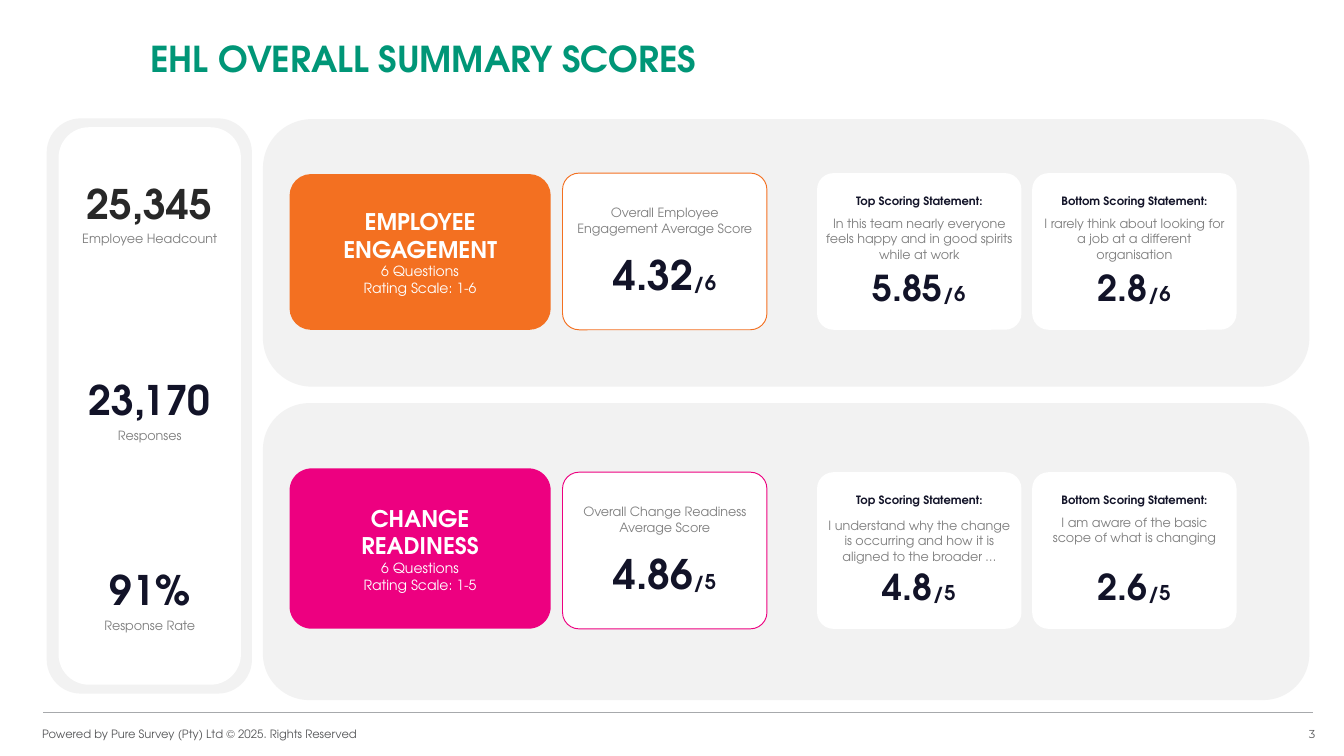
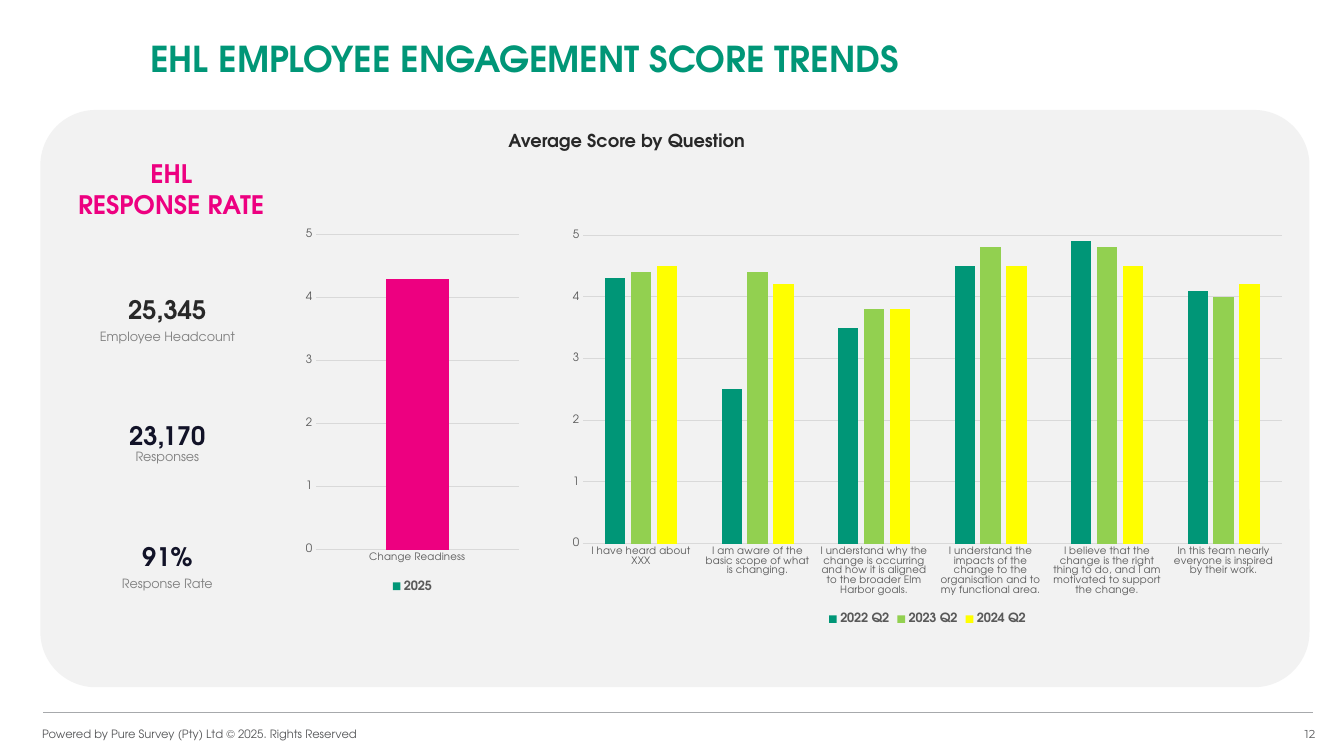
from dataclasses import dataclass
from typing import NamedTuple, Optional

import pptx
import pptx.chart.data
import pptx.dml.color
import pptx.enum.chart
import pptx.enum.shapes
import pptx.enum.text
import pptx.oxml.ns
import pptx.util
from lxml import etree

Pt = pptx.util.Pt
Kind = pptx.enum.shapes.MSO_SHAPE
Align = pptx.enum.text.PP_ALIGN
Anchor = pptx.enum.text.MSO_ANCHOR

FONT = "TeX Gyre Adventor"
COLORS = {
    "white": "FFFFFF", "panel": "F2F2F2", "green": "009677", "orange": "F37021",
    "pink": "ED0080", "ink": "121328", "charcoal": "282828", "grey": "808080",
    "footer": "58595B", "rule": "A7A9AC", "grid": "D9D9D9", "axis": "595959",
    "lime": "92D050", "yellow": "FFFF00", "black": "000000",
}


class Frame(NamedTuple):
    left: float
    top: float
    width: float
    height: float


class Span(NamedTuple):
    text: str
    size: float
    color: str
    bold: bool = False
    font: str = FONT


class Stat(NamedTuple):
    value: str
    caption: str
    color: str


class Statement(NamedTuple):
    heading: str
    text: str
    score: str
    text_offset: float = 30


@dataclass
class Section:
    panel: Frame
    panel_radius: float
    tile: Frame
    name: str
    color: str
    scale: int
    cards_top: float
    caption: str
    average: str
    statements: list[Statement]


class Series(NamedTuple):
    name: str
    values: list[float]
    color: str


STATS = [
    Stat("25,345", "Employee Headcount", "charcoal"),
    Stat("23,170", "Responses", "ink"),
    Stat("91%", "Response Rate", "ink"),
]

SECTIONS = [
    Section(
        Frame(206.6, 93.6, 822.2, 210.2), 0.183, Frame(227.5, 136.8, 205.2, 122.4),
        "EMPLOYEE\nENGAGEMENT", "orange", 6, 136,
        "Overall Employee Engagement Average Score", "4.32",
        [
            Statement("Top Scoring Statement:",
                      "In this team nearly everyone feels happy and in good spirits while at work",
                      "5.85"),
            Statement("Bottom Scoring Statement:",
                      "I rarely think about looking for a job at a different organisation", "2.8"),
        ],
    ),
    Section(
        Frame(206.6, 316.8, 822.2, 233.3), 0.156, Frame(227.5, 368, 205.2, 126),
        "CHANGE\nREADINESS", "pink", 5, 371,
        "Overall Change Readiness\nAverage Score", "4.86",
        [
            Statement("Top Scoring Statement:",
                      "I understand why the change is occurring and how it is aligned to the broader …",
                      "4.8", 32.4),
            Statement("Bottom Scoring Statement:",
                      "I am aware of the basic scope of what is changing", "2.6"),
        ],
    ),
]

QUESTIONS = [
    "I have heard about XXX",
    "I am aware of the basic scope of what is changing.",
    "I understand why the change is occurring and how it is aligned to the broader Elm Harbor goals.",
    "I understand the impacts of the change to the organisation and to my functional area.",
    "I believe that the change is the right thing to do, and I am motivated to support the change.",
    "In this team nearly everyone is inspired by their work.",
]
TRENDS = [
    Series("2022 Q2", [4.3, 2.5, 3.5, 4.5, 4.9, 4.1], "green"),
    Series("2023 Q2", [4.4, 4.4, 3.8, 4.8, 4.8, 4], "lime"),
    Series("2024 Q2", [4.5, 4.2, 3.8, 4.5, 4.5, 4.2], "yellow"),
]

CARD_LEFTS = (642, 811)
CARD_WIDTH, CARD_HEIGHT = 160.6, 123.1


def rgb(name: str) -> pptx.dml.color.RGBColor:
    return pptx.dml.color.RGBColor.from_string(COLORS[name])


def points(frame: Frame) -> list[pptx.util.Length]:
    return [Pt(length) for length in frame]


def style_font(font, size: float, color: str, bold: bool = False, name: str = FONT) -> None:
    font.size, font.bold, font.name = Pt(size), bold, name
    font.color.rgb = rgb(color)


def write(shape, lines: list[list[Span]], align=Align.CENTER, anchor=Anchor.TOP) -> None:
    """Fill a shape with one paragraph for each list of spans."""
    frame = shape.text_frame
    frame.word_wrap = True
    frame.vertical_anchor = anchor
    for index, spans in enumerate(lines):
        para = frame.add_paragraph() if index else frame.paragraphs[0]
        para.alignment = align
        for span in spans:
            run = para.add_run()
            run.text = span.text
            style_font(run.font, span.size, span.color, span.bold, span.font)


def split_lines(text: str, size: float, color: str, bold: bool = False) -> list[list[Span]]:
    return [[Span(line, size, color, bold)] for line in text.split("\n")]


def add_text(page, frame: Frame, lines: list[list[Span]], align=Align.CENTER,
             anchor=Anchor.TOP) -> None:
    write(page.shapes.add_textbox(*points(frame)), lines, align, anchor)


def add_panel(page, frame: Frame, fill: str, radius: Optional[float] = None,
              line: Optional[str] = None, kind=Kind.ROUNDED_RECTANGLE):
    panel = page.shapes.add_shape(kind, *points(frame))
    panel.shadow.inherit = False
    panel.fill.solid()
    panel.fill.fore_color.rgb = rgb(fill)
    if radius is not None:
        panel.adjustments[0] = radius
    if line:
        panel.line.color.rgb = rgb(line)
        panel.line.width = Pt(0.75)
    else:
        panel.line.fill.background()
    return panel


def add_page(deck, title: str, number: int):
    """Add a slide with the shared title, rule and footer."""
    page = deck.slides.add_slide(deck.slide_layouts[6])
    rule = page.shapes.add_connector(
        pptx.enum.shapes.MSO_CONNECTOR.STRAIGHT, Pt(34), Pt(560), Pt(1032), Pt(560))
    rule.line.color.rgb = rgb("rule")
    rule.line.width = Pt(0.75)
    etree.SubElement(rule.element.spPr, pptx.oxml.ns.qn("a:effectLst"))
    add_text(page, Frame(111, 25.2, 772, 40), [[Span(title, 28, "green", True)]], Align.LEFT)
    add_text(page, Frame(26, 561, 469, 32),
             [[Span("Powered by Pure Survey (Pty) Ltd © 2025. Rights Reserved", 9, "footer")]],
             Align.LEFT, Anchor.MIDDLE)
    add_text(page, Frame(803, 561, 237.6, 32),
             [[Span(str(number), 9, "footer", font="Montserrat")]], Align.RIGHT, Anchor.MIDDLE)
    return page


def add_stats(page, left: float, size: float, tops: list[tuple[float, float]]) -> None:
    """Place each figure and its caption; tops holds both tops for each."""
    for stat, (value_top, caption_top) in zip(STATS, tops):
        add_text(page, Frame(left, value_top, 143.3, size * 1.44),
                 [[Span(stat.value, size, stat.color, True)]])
        add_text(page, Frame(left, caption_top, 143.3, 19.4), [[Span(stat.caption, 10, "grey")]])


def score_spans(score: str, scale: int, size: float) -> list[Span]:
    return [Span(score, size, "ink", True), Span(f"/{scale}", 16, "ink", True)]


def add_section(page, section: Section) -> None:
    add_panel(page, section.panel, "panel", section.panel_radius)
    tile = add_panel(page, section.tile, section.color, 0.138)
    details = f"6 Questions\nRating Scale: 1-{section.scale}"
    write(tile, split_lines(section.name, 18, "white", True) + split_lines(details, 11, "white"),
          anchor=Anchor.MIDDLE)

    left, top = 442, section.cards_top
    add_panel(page, Frame(left, top, CARD_WIDTH, CARD_HEIGHT), "white", 0.105, section.color)
    add_text(page, Frame(left, top + 57, CARD_WIDTH, 46),
             [score_spans(section.average, section.scale, 32)])
    add_text(page, Frame(left, top + 21.6, CARD_WIDTH, 31.7),
             split_lines(section.caption, 10, "grey"))

    for left, statement in zip(CARD_LEFTS, section.statements):
        add_panel(page, Frame(left, top, CARD_WIDTH, CARD_HEIGHT), "white", 0.105)
        add_text(page, Frame(left, top + 69, CARD_WIDTH, 41),
                 [score_spans(statement.score, section.scale, 28)])
        add_text(page, Frame(left, top + 13, CARD_WIDTH, 18),
                 [[Span(statement.heading, 9, "ink", True)]])
        add_text(page, Frame(left, top + statement.text_offset, CARD_WIDTH, 44),
                 [[Span(statement.text, 10, "grey")]])


def add_columns(page, frame: Frame, categories: list[str], series: list[Series]):
    data = pptx.chart.data.CategoryChartData()
    data.categories = categories
    for entry in series:
        data.add_series(entry.name, entry.values)
    chart = page.shapes.add_chart(
        pptx.enum.chart.XL_CHART_TYPE.COLUMN_CLUSTERED, *points(frame), data).chart
    style_font(chart.font, 10, "black", name="Calibri")
    chart.has_title = False
    chart.has_legend = True
    chart.legend.position = pptx.enum.chart.XL_LEGEND_POSITION.BOTTOM
    chart.legend.include_in_layout = False
    style_font(chart.legend.font, 10, "axis", True)

    plot = chart.plots[0]
    plot.gap_width, plot.overlap, plot.vary_by_categories = 219, -27, False
    for drawn, entry in zip(plot.series, series):
        drawn.format.fill.solid()
        drawn.format.fill.fore_color.rgb = rgb(entry.color)

    for axis, size in ((chart.category_axis, 8), (chart.value_axis, 9)):
        axis.major_tick_mark = axis.minor_tick_mark = pptx.enum.chart.XL_TICK_MARK.NONE
        style_font(axis.tick_labels.font, size, "axis")
    scores = chart.value_axis
    scores.minimum_scale, scores.maximum_scale, scores.major_unit = 0, 5, 1
    scores.format.line.fill.background()
    for line in (chart.category_axis.format.line, scores.major_gridlines.format.line):
        line.color.rgb = rgb("grid")
        line.width = Pt(0.75)
    return chart


def add_summary_page(deck) -> None:
    page = add_page(deck, "EHL OVERALL SUMMARY SCORES", 3)
    add_panel(page, Frame(36.7, 93, 161.3, 452), "panel")
    add_panel(page, Frame(46, 100, 143.3, 438), "white")
    add_stats(page, 46, 32, [(136.8, 177.8), (291, 332.6), (440, 481.7)])
    for section in SECTIONS:
        add_section(page, section)


def add_trends_page(deck) -> None:
    page = add_page(deck, "EHL EMPLOYEE ENGAGEMENT SCORE TRENDS", 12)
    add_panel(page, Frame(31.7, 86.4, 997.2, 453.6), "panel", 0.096)
    heading = add_panel(page, Frame(392.4, 99.4, 276.5, 22.3), "panel", kind=Kind.RECTANGLE)
    write(heading, [[Span("Average Score by Question", 14, "charcoal", True)]],
          Align.LEFT, Anchor.MIDDLE)
    add_text(page, Frame(47.5, 121, 174, 55.4), split_lines("EHL\nRESPONSE RATE", 20, "pink", True))
    add_stats(page, 59.8, 20, [(227.5, 254.9), (326.2, 349.2), (421.2, 448.6)])

    overall = add_columns(page, Frame(236.9, 174.2, 174.2, 293.8), ["Change Readiness"],
                          [Series("2025", [4.3], "green")])
    column = overall.plots[0].series[0].points[0].format.fill
    column.solid()
    column.fore_color.rgb = rgb("pink")
    add_columns(page, Frame(438.5, 174.2, 580.3, 319.7), QUESTIONS, TRENDS)


def main() -> None:
    deck = pptx.Presentation()
    deck.slide_width, deck.slide_height = Pt(1056), Pt(594)
    add_summary_page(deck)
    add_trends_page(deck)
    deck.save("out.pptx")


if __name__ == "__main__":
    main()
